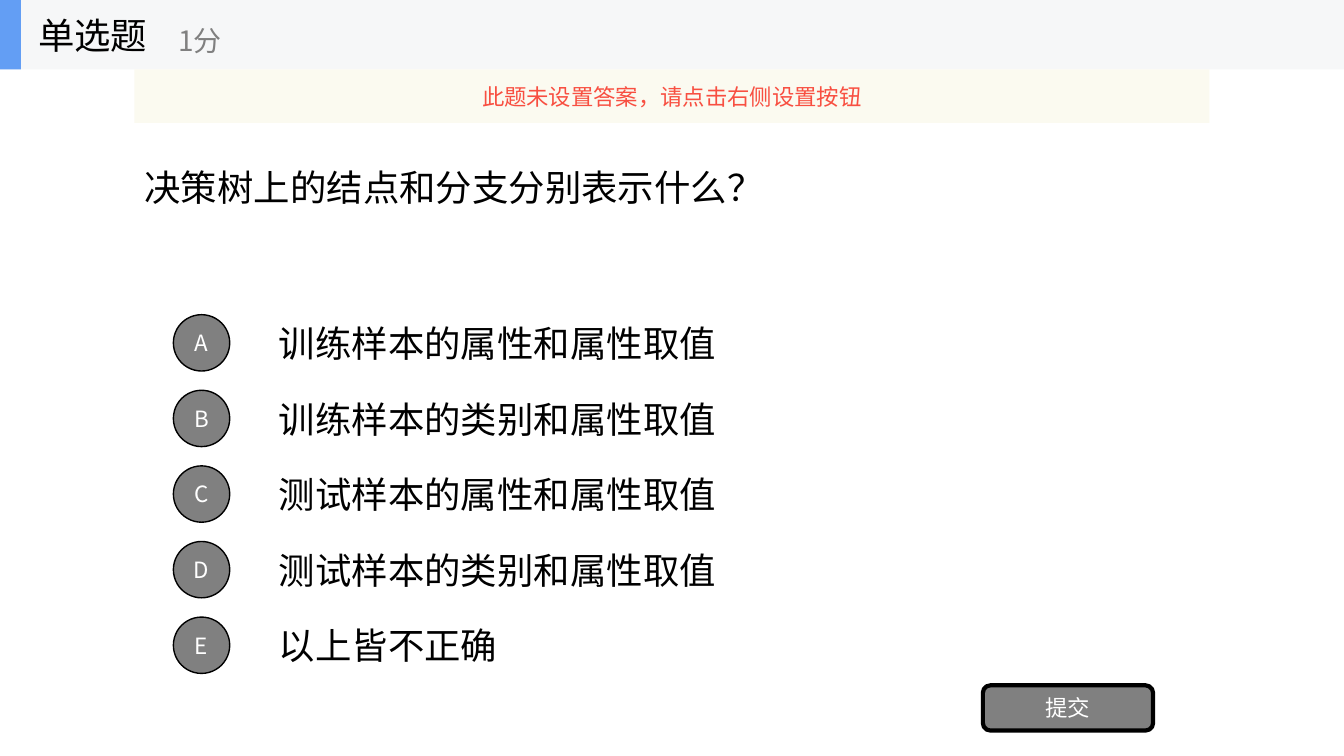
from dataclasses import dataclass
from typing import Any, Optional

from lxml.etree import SubElement
from pptx import Presentation
from pptx.dml.color import RGBColor
from pptx.enum.shapes import MSO_SHAPE as Shp
from pptx.enum.text import MSO_ANCHOR as Anchor, MSO_AUTO_SIZE as Auto, PP_ALIGN as Align
from pptx.oxml.ns import qn
from pptx.util import Cm, Pt

FONT = "Noto Sans CJK SC"
BLACK, WHITE, GREY = "000000", "FFFFFF", "808080"


@dataclass
class Box:
    left: float
    top: float
    width: float
    height: float

    def emu(self) -> list:
        return [Cm(v) for v in (self.left, self.top, self.width, self.height)]


@dataclass
class Label:
    text: str
    size: int = 26
    color: str = BLACK
    align: Align = Align.LEFT


def rgb(value: str) -> RGBColor:
    return RGBColor.from_string(value)


def set_attrs(target: Any, values: dict) -> None:
    for name, value in values.items():
        setattr(target, name, value)


def write(sp: Any, label: Label) -> None:
    tf = sp.text_frame
    set_attrs(tf, {"word_wrap": True, "auto_size": Auto.NONE,
                   "vertical_anchor": Anchor.MIDDLE})
    p = tf.paragraphs[0]
    p.alignment = label.align
    r = p.add_run()
    r.text = label.text
    set_attrs(r.font, {"size": Pt(label.size), "name": FONT})
    r.font.color.rgb = rgb(label.color)
    SubElement(r.font._element, qn("a:ea"), typeface=FONT)


def add_text(shapes: Any, box: Box, label: Label) -> None:
    write(shapes.add_textbox(*box.emu()), label)


def add_shape(shapes: Any, kind: Shp, box: Box, fill: str, line: float = 0,
              label: Optional[Label] = None) -> Any:
    sp = shapes.add_shape(kind, *box.emu())
    sp.shadow.inherit = False
    sp.fill.solid()
    sp.fill.fore_color.rgb = rgb(fill)
    if line:
        sp.line.color.rgb = rgb(BLACK)
        sp.line.width = Pt(line)
    else:
        sp.line.fill.background()
    if label:
        write(sp, label)
    return sp


def set_alpha(sp: Any, percent: int) -> None:
    color = sp.fill._xPr.find(qn("a:solidFill"))[0]
    SubElement(color, qn("a:alpha"), val=str(percent * 1000))


def button_label(text: str) -> Label:
    return Label(text, 16, WHITE, Align.CENTER)


OPTIONS = {
    "A": "训练样本的属性和属性取值",
    "B": "训练样本的类别和属性取值",
    "C": "测试样本的属性和属性取值",
    "D": "测试样本的类别和属性取值",
    "E": "以上皆不正确",
}
FIRST_TOP, PITCH, ROW, BADGE = 7.75, 1.905, 1.78, 1.42
HEADER = 1.75


def main() -> None:
    prs = Presentation()
    set_attrs(prs, {"slide_width": Cm(33.87), "slide_height": Cm(19.05)})
    s = prs.slides.add_slide(prs.slide_layouts[5])

    # Question
    title = s.shapes.title
    names = ("left", "top", "width", "height")
    set_attrs(title, dict(zip(names, Box(3.39, HEADER, 27.09, 5.94).emu())))
    write(title, Label("决策树上的结点和分支分别表示什么？"))

    # Answer options
    for i, (letter, answer) in enumerate(OPTIONS.items()):
        top = FIRST_TOP + i * PITCH
        add_text(s.shapes, Box(6.78, top, 23.7, ROW), Label(answer))
        badge = Box(4.37, top + (ROW - BADGE) / 2, BADGE, BADGE)
        add_shape(s.shapes, Shp.OVAL, badge, GREY, 1, button_label(letter))

    # Submit button
    add_shape(s.shapes, Shp.ROUNDED_RECTANGLE, Box(24.77, 17.27, 4.29, 1.14),
              GREY, 3, button_label("提交"))

    # Header bar with question type and score
    header = s.shapes.add_group_shape().shapes
    add_shape(header, Shp.RECTANGLE, Box(0, 0, 33.87, HEADER), "F6F7F8")
    add_shape(header, Shp.RECTANGLE, Box(0, 0, 0.53, HEADER), "639EF4")
    add_text(header, Box(0.71, 0, 5.28, HEADER), Label("单选题"))
    add_text(header, Box(4.24, 0.3, 6.35, 1.42), Label("1分", 20, GREY))

    # Warning banner
    banner = add_shape(s.shapes, Shp.RECTANGLE, Box(3.39, HEADER, 27.09, 1.35), "FBFAEF",
                       label=Label("此题未设置答案，请点击右侧设置按钮", 16, "F84F41", Align.CENTER))
    set_alpha(banner, 90)

    prs.save("out.pptx")


if __name__ == "__main__":
    main()
